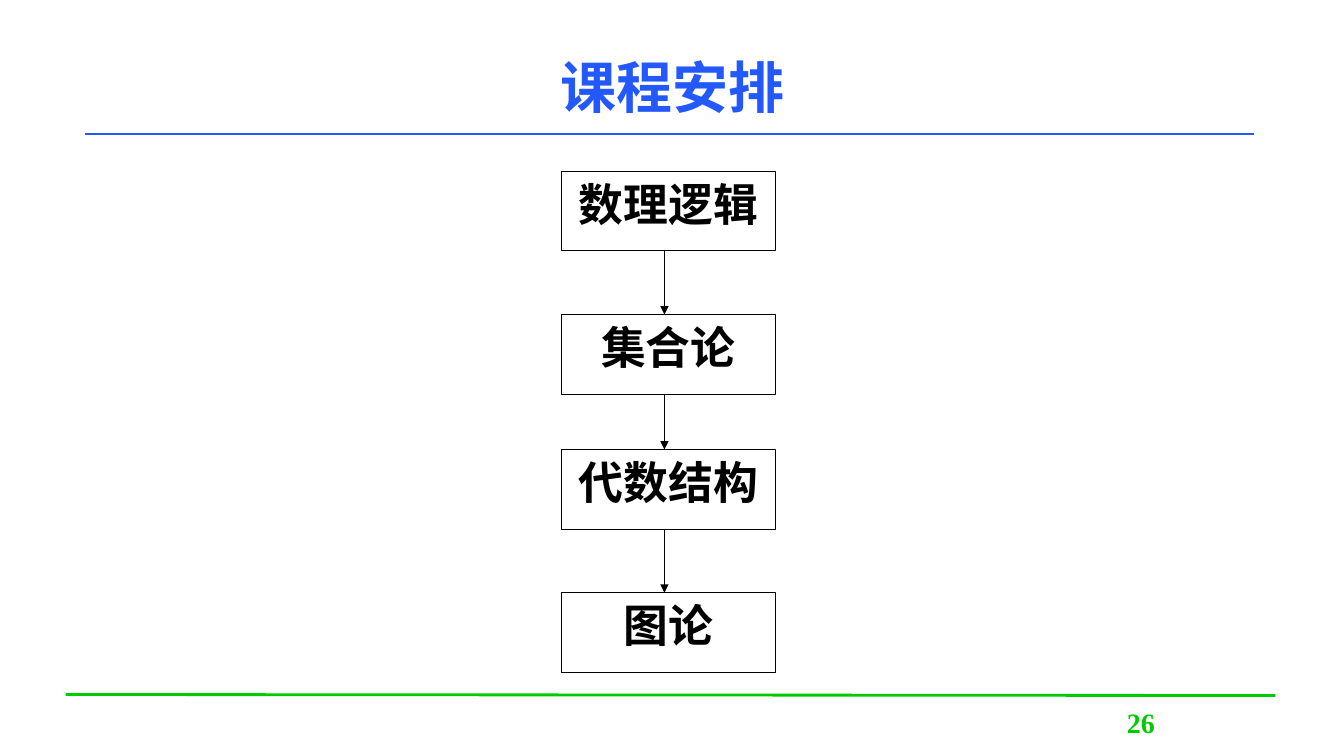
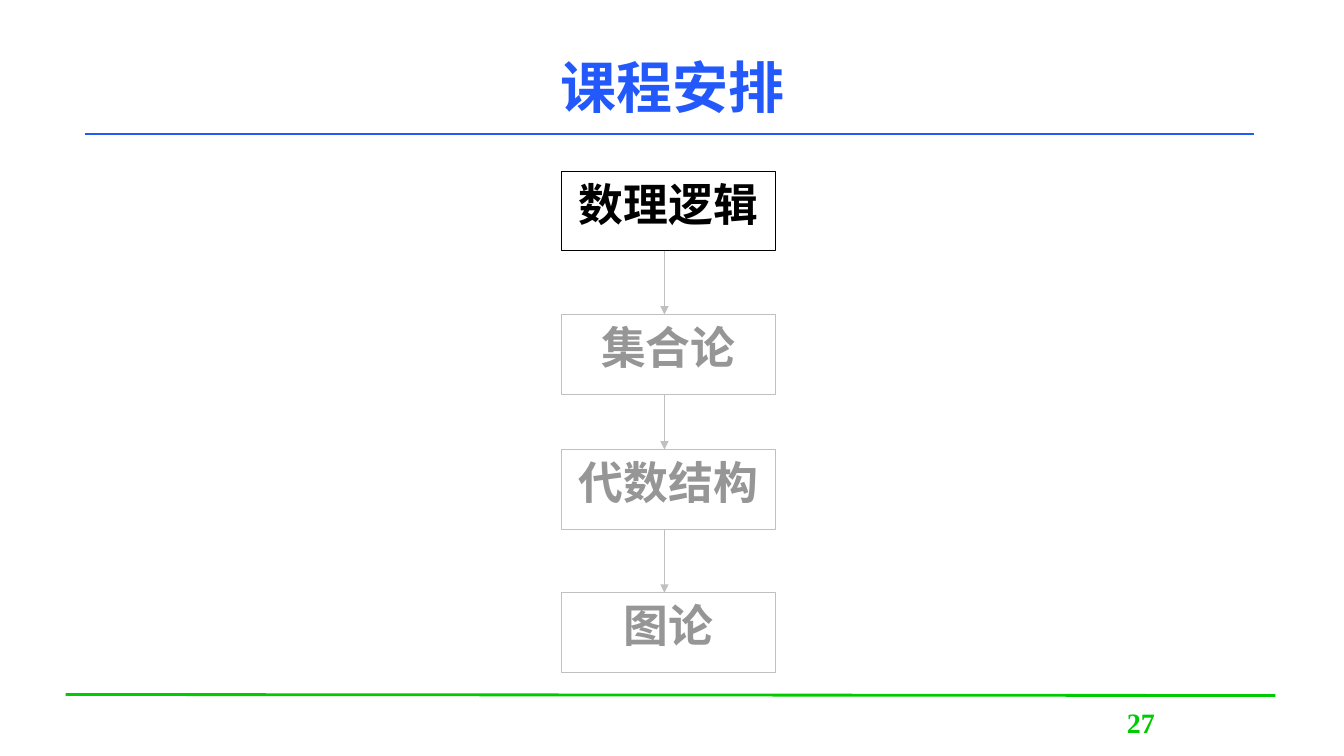
"""Build two course outline slides, the second highlighting the first topic."""
from dataclasses import dataclass

from lxml import etree
from pptx import Presentation
from pptx.dml.color import RGBColor
from pptx.enum.shapes import MSO_CONNECTOR, MSO_SHAPE
from pptx.enum.text import MSO_ANCHOR, PP_ALIGN
from pptx.oxml.ns import qn
from pptx.shapes.connector import Connector
from pptx.slide import Slide, SlideLayout
from pptx.text.text import TextFrame
from pptx.util import Inches, Pt

RECT = MSO_SHAPE.RECTANGLE
STRAIGHT = MSO_CONNECTOR.STRAIGHT
CENTER = PP_ALIGN.CENTER
TOP, MIDDLE = MSO_ANCHOR.TOP, MSO_ANCHOR.MIDDLE

COLORS = {
    "title": "2359FB",
    "footer": "00CB00",
    "paper": "FFFFFF",
    "ink": "000000",
    "dim_line": "C0C0C0",
    "dim_text": "969696",
}
TITLE = "课程安排"
BOX_LEFT, BOX_WIDTH, BOX_HEIGHT = 5.57, 2.12, 0.79
ARROW_X = 6.59


@dataclass(frozen=True)
class Topic:
    name: str
    top: float


@dataclass(frozen=True)
class Rule:
    start: tuple[float, float]
    end: tuple[float, float]
    color: str
    width: float = 2


@dataclass(frozen=True)
class Font:
    name: str
    size: int
    color: str


TOPICS = [
    Topic("数理逻辑", 1.7),
    Topic("集合论", 3.12),
    Topic("代数结构", 4.46),
    Topic("图论", 5.88),
]
RULES = [
    Rule((0.65, 6.89), (12.65, 6.9), "footer"),
    Rule((0.84, 1.33), (12.44, 1.33), "title"),
]
TITLE_FONT = Font("DejaVu Sans", 40, "title")
NUMBER_FONT = Font("Times New Roman", 20, "footer")


def rgb(color: str) -> RGBColor:
    return RGBColor.from_string(COLORS[color])


def write(tf: TextFrame, text: str, font: Font, anchor: MSO_ANCHOR = TOP) -> None:
    tf.word_wrap = True
    tf.vertical_anchor = anchor
    p = tf.paragraphs[0]
    p.alignment = CENTER
    r = p.add_run()
    r.text = text
    r.font.name = font.name
    r.font.size = Pt(font.size)
    r.font.bold = True
    r.font.color.rgb = rgb(font.color)


def add_line(s: Slide, rule: Rule) -> Connector:
    ends = [Inches(v) for v in (*rule.start, *rule.end)]
    line = s.shapes.add_connector(STRAIGHT, *ends)
    line.line.color.rgb = rgb(rule.color)
    line.line.width = Pt(rule.width)
    etree.SubElement(line.element.spPr, qn("a:effectLst"))
    return line


def add_arrow(s: Slide, top: float, bottom: float, color: str) -> None:
    arrow = add_line(s, Rule((ARROW_X, top), (ARROW_X, bottom), color, 1))
    etree.SubElement(arrow.line.get_or_change_to_solidFill().getparent()
                     if hasattr(arrow.line, "get_or_change_to_solidFill")
                     else arrow.element.spPr.find(qn("a:ln")),
                     qn("a:tailEnd"), type="triangle")


def add_box(s: Slide, topic: Topic, line_color: str, text_color: str) -> None:
    sp = s.shapes.add_shape(RECT, Inches(BOX_LEFT), Inches(topic.top),
                            Inches(BOX_WIDTH), Inches(BOX_HEIGHT))
    sp.shadow.inherit = False
    sp.fill.solid()
    sp.fill.fore_color.rgb = rgb("paper")
    paper = sp.element.spPr.find(qn("a:solidFill"))[0]
    etree.SubElement(paper, qn("a:alpha"), val="10000")
    sp.line.color.rgb = rgb(line_color)
    sp.line.width = Pt(0.75)
    write(sp.text_frame, topic.name, Font("Arial", 32, text_color))


def add_rules(s: Slide, layout: SlideLayout) -> None:
    for shape_id, rule in enumerate(RULES, start=20):
        line = add_line(s, rule).element
        line.nvCxnSpPr.cNvPr.set("id", str(shape_id))
        layout.shapes.element.append(line)


def add_outline(s: Slide, number: int, active: int) -> None:
    title = s.shapes.title
    title.left, title.top = Inches(2.42), Inches(0.52)
    title.width, title.height = Inches(8.5), Inches(0.67)
    write(title.text_frame, TITLE, TITLE_FONT, MIDDLE)

    page = s.shapes.add_textbox(Inches(10.26), Inches(6.95), Inches(2.11), Inches(0.5))
    write(page.text_frame, str(number), NUMBER_FONT)

    for i, topic in enumerate(TOPICS):
        line_color, text_color = ("ink", "ink") if i < active else ("dim_line", "dim_text")
        add_box(s, topic, line_color, text_color)
        if i:
            add_arrow(s, TOPICS[i - 1].top + BOX_HEIGHT, topic.top, line_color)


def main() -> None:
    prs = Presentation()
    prs.slide_width, prs.slide_height = Inches(13.33), Inches(7.5)
    layout = prs.slide_layouts[5]
    slides = [prs.slides.add_slide(layout) for _ in range(2)]
    add_rules(slides[0], layout)
    for s, number, active in zip(slides, (26, 27), (len(TOPICS), 1)):
        add_outline(s, number, active)
    prs.save("out.pptx")


if __name__ == "__main__":
    main()
